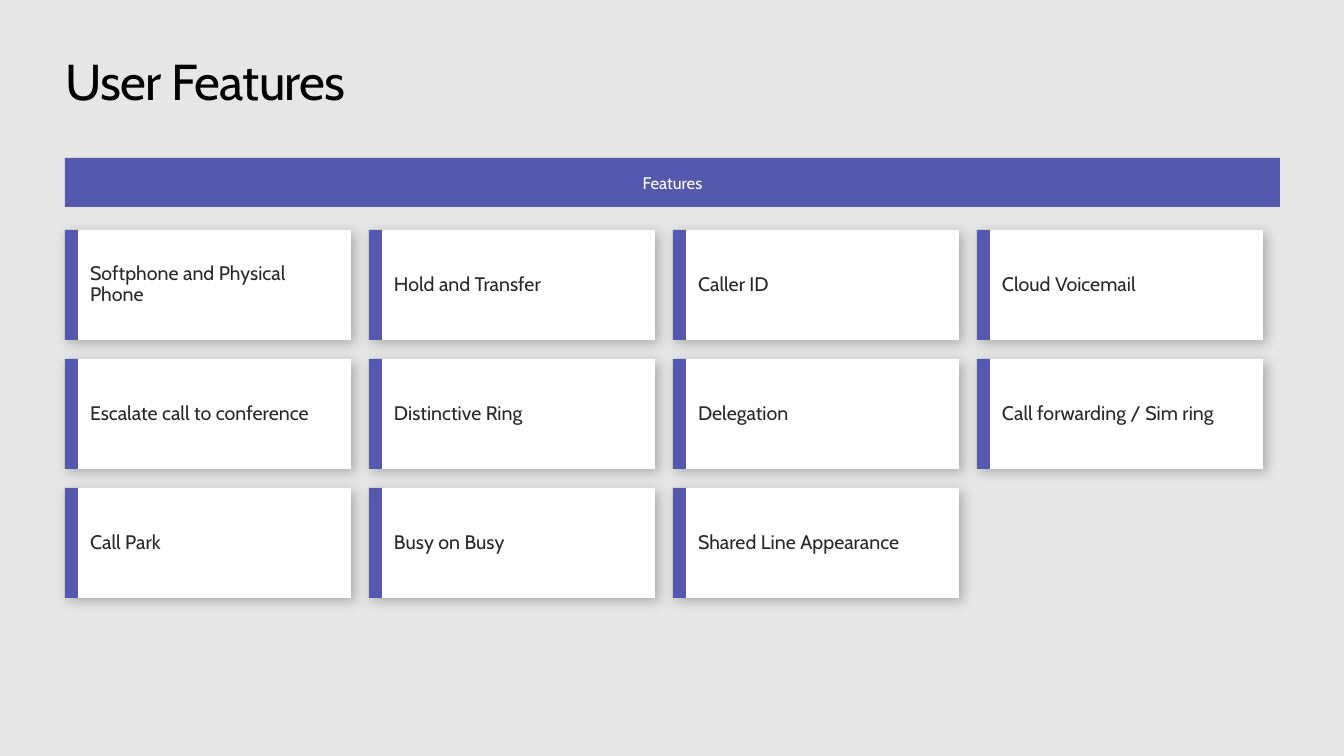
from lxml import etree
from pptx import Presentation, util as u
from pptx.dml.color import RGBColor
from pptx.enum import shapes, text
from pptx.oxml import ns

TITLE = "User Features"
BANNER = "Features"
FEATURES = [
    ["Softphone and Physical Phone", "Hold and Transfer", "Caller ID", "Cloud Voicemail"],
    ["Escalate call to conference", "Distinctive Ring", "Delegation", "Call forwarding / Sim ring"],
    ["Call Park", "Busy on Busy", "Shared Line Appearance"],
]
COLORS = {"page": "E6E6E6", "accent": "5558AF", "card": "FFFFFF",
          "ink": "282828", "title": "000000", "shadow": "000000"}
FONT = "Cabin"
LEFT, FULL_WIDTH = 65, 1215
CARD_TOP, CARD_WIDTH, CARD_HEIGHT = 230, 286, 110
COLUMN_STEP, ROW_STEP, STRIPE = 304, 129, 13


def px(length):
    return u.Emu(round(length * 914400 / 100.8))


def color(name):
    return RGBColor.from_string(COLORS[name])


def add_block(group, left, top, width, height, fill):
    block = group.shapes.add_shape(shapes.MSO_SHAPE.RECTANGLE, *map(px, (left, top, width, height)))
    block.shadow.inherit = False
    block.fill.solid()
    block.fill.fore_color.rgb = color(fill)
    block.line.fill.background()
    return block


def add_shadow(block):
    effects = block._element.spPr.find(ns.qn("a:effectLst"))
    shadow = etree.SubElement(effects, ns.qn("a:outerShdw"), blurRad=str(u.Pt(9)),
                              dist=str(u.Pt(3)), dir="2700000", algn="tl", rotWithShape="0")
    tint = etree.SubElement(shadow, ns.qn("a:srgbClr"), val=COLORS["shadow"])
    etree.SubElement(tint, ns.qn("a:alpha"), val="25000")


def write(box, words, size, ink, align, insets, anchor=text.MSO_ANCHOR.MIDDLE):
    frame = box.text_frame
    frame.text = words
    frame.word_wrap = True
    frame.auto_size = text.MSO_AUTO_SIZE.NONE
    frame.vertical_anchor = anchor
    frame.margin_left, frame.margin_top, frame.margin_right, frame.margin_bottom = map(px, insets)
    para = frame.paragraphs[0]
    para.alignment = align
    para.font.name = FONT
    para.font.size = u.Pt(size)
    para.font.color.rgb = color(ink)
    return para


def add_card(page, left, top, words):
    group = page.shapes.add_group_shape()
    card = add_block(group, left, top, CARD_WIDTH, CARD_HEIGHT, "card")
    add_shadow(card)
    para = write(card, words, 14, "ink", text.PP_ALIGN.LEFT, (25, 16, 20, 16))
    para.line_spacing = 0.9
    add_block(group, left, top, STRIPE, CARD_HEIGHT, "accent")


def main():
    deck = Presentation()
    deck.slide_width, deck.slide_height = px(1344), px(756)
    page = deck.slides.add_slide(deck.slide_layouts[5])
    page.background.fill.solid()
    page.background.fill.fore_color.rgb = color("page")

    title = page.shapes.title
    title.left, title.top, title.width, title.height = map(px, (LEFT, 50, FULL_WIDTH, 61))
    para = write(title, TITLE, 36, "title", text.PP_ALIGN.LEFT, (0, 0, 0, 0), text.MSO_ANCHOR.TOP)
    para.runs[0].font._element.set("spc", "-50")

    banner = add_block(page, LEFT, 158, FULL_WIDTH, 49, "accent")
    write(banner, BANNER, 12, "card", text.PP_ALIGN.CENTER, (0, 16, 0, 16))

    for row, names in enumerate(FEATURES):
        for column, name in enumerate(names):
            add_card(page, LEFT + column * COLUMN_STEP, CARD_TOP + row * ROW_STEP, name)

    deck.save("out.pptx")


if __name__ == "__main__":
    main()
